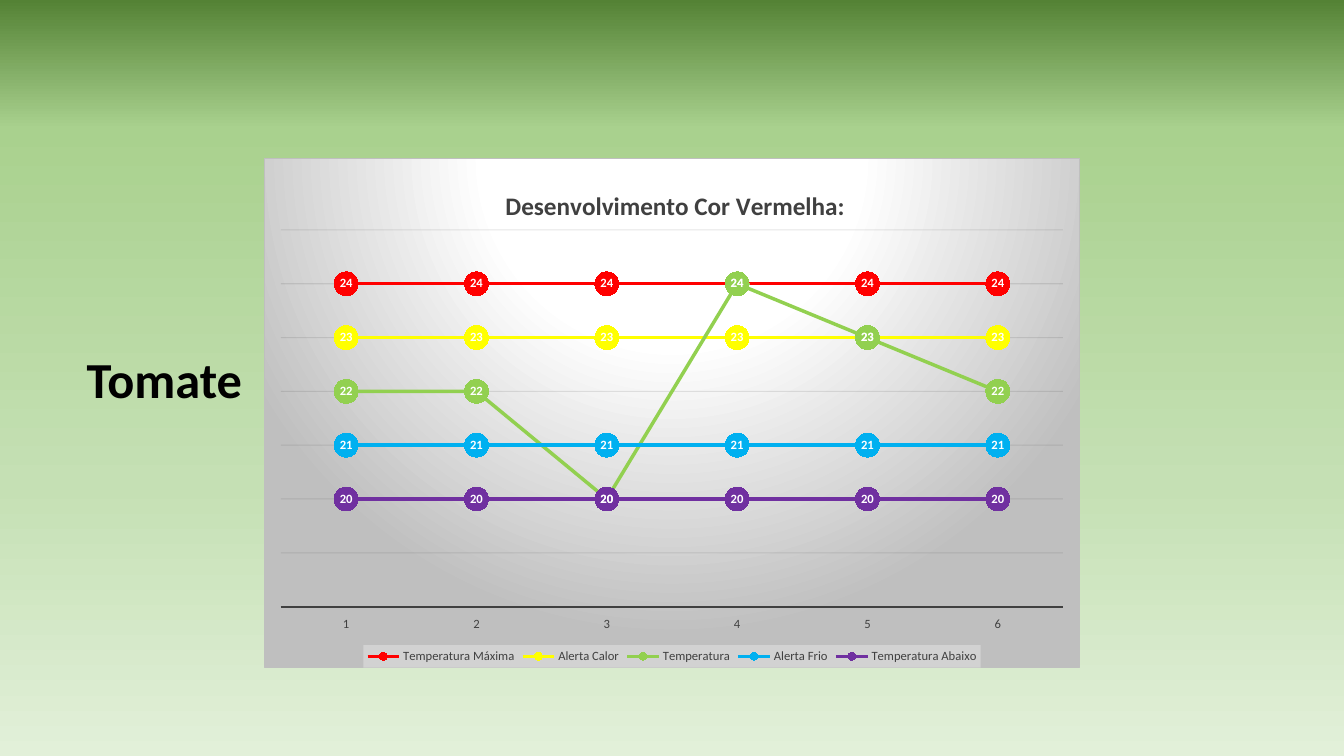
from lxml.etree import SubElement
from pptx import Presentation
from pptx.chart.data import CategoryChartData
from pptx.dml.color import RGBColor
from pptx.enum.chart import (XL_CHART_TYPE, XL_LABEL_POSITION,
                             XL_LEGEND_POSITION, XL_MARKER_STYLE,
                             XL_TICK_LABEL_POSITION, XL_TICK_MARK)
from pptx.enum.text import MSO_ANCHOR, MSO_AUTO_SIZE, PP_ALIGN
from pptx.oxml import parse_xml
from pptx.oxml.ns import nsdecls, qn
from pptx.util import Inches, Pt

HEAD = "Tomate"
TITLE = "Desenvolvimento Cor Vermelha:"
DAYS = ["1", "2", "3", "4", "5", "6"]
SERIES = [
    ("Temperatura Máxima", "red", [24] * 6),
    ("Alerta Calor", "yellow", [23] * 6),
    ("Temperatura", "green", [22, 22, 20, 24, 23, 22]),
    ("Alerta Frio", "blue", [21] * 6),
    ("Temperatura Abaixo", "purple", [20] * 6),
]
COLORS = {
    "red": "FF0000", "yellow": "FFFF00", "green": "92D050",
    "blue": "00B0F0", "purple": "7030A0", "white": "FFFFFF",
    "black": "000000", "dark": "404040", "gray": "BFBFBF",
    "grid": "0D0D0D", "pale": "F2F2F2",
}
SKY = [(0, "E2F0D9"), (36, "C5E0B4"), (83, "A9D18E"), (100, "548235")]
GLOW = [(0, COLORS["white"]), (39, COLORS["white"]), (100, COLORS["gray"])]
UP = '<a:lin ang="16200000" scaled="0"/>'
ROUND = ('<a:path path="circle"><a:fillToRect l="50000" t="-80000" '
         'r="50000" b="180000"/></a:path>')

# left, top, width, height in inches
HEAD_BOX = (0.75, 3.4, 1.76, 0.71)
CHART_BOX = (2.62, 1.57, 8.09, 5.06)
# left, top, width, height as shares of the chart
PLOT_BOX = (0.02, 0.14, 0.96, 0.74)
TITLE_POS = (0.29, 0.05)


def rgb(name):
    return RGBColor.from_string(COLORS[name])


def style(font, color, **values):
    font.color.rgb = rgb(color)
    for key, value in {"name": "Calibri", **values}.items():
        setattr(font, key, value)


def stroke(line, color, width):
    line.color.rgb = rgb(color)
    line.width = Pt(width)


def gradient(stops, shade):
    marks = "".join(f'<a:gs pos="{pos * 1000}"><a:srgbClr val="{color}"/></a:gs>'
                    for pos, color in stops)
    return (f'<a:gradFill {nsdecls("a")} rotWithShape="1">'
            f'<a:gsLst>{marks}</a:gsLst>{shade}</a:gradFill>')


def fade(fill, share):
    """Make a solid colour partly clear."""
    color = next(fill.iter(qn("a:srgbClr")))
    SubElement(color, qn("a:alpha")).set("val", str(share * 1000))


def layout(box, inner=False):
    """Return a manual chart layout for shares of the chart's size."""
    target = '<c:layoutTarget val="inner"/>' if inner else ""
    modes = '<c:xMode val="edge"/><c:yMode val="edge"/>'
    sizes = "".join(f'<c:{key} val="{value}"/>' for key, value in zip("xywh", box))
    return parse_xml(f'<c:layout {nsdecls("c")}><c:manualLayout>{target}{modes}'
                     f'{sizes}</c:manualLayout></c:layout>')


def place(part, new, index):
    for old in part.findall(qn("c:layout")):
        part.remove(old)
    part.insert(index, new)


def add_head(slide):
    head = slide.shapes.title
    head.left, head.top, head.width, head.height = map(Inches, HEAD_BOX)
    frame = head.text_frame
    frame.text = HEAD
    frame.word_wrap = False
    frame.auto_size = MSO_AUTO_SIZE.SHAPE_TO_FIT_TEXT
    frame.vertical_anchor = MSO_ANCHOR.TOP
    para = frame.paragraphs[0]
    para.alignment = PP_ALIGN.CENTER
    style(para.runs[0].font, "black", size=Pt(36), bold=True)


def add_lines(chart):
    for line, (_, color, _) in zip(chart.plots[0].series, SERIES):
        line.smooth = False
        stroke(line.format.line, color, 2.5)
        mark = line.marker
        mark.style, mark.size = XL_MARKER_STYLE.CIRCLE, 17
        mark.format.fill.solid()
        mark.format.fill.fore_color.rgb = rgb(color)
        mark.format.line.fill.background()
        tags = line.data_labels
        tags.show_value = True
        tags.position = XL_LABEL_POSITION.CENTER
        style(tags.font, "white", size=Pt(9), bold=True)


def add_axes(chart):
    days, heat = chart.category_axis, chart.value_axis
    days.major_tick_mark = days.minor_tick_mark = XL_TICK_MARK.NONE
    days.tick_label_position = XL_TICK_LABEL_POSITION.LOW
    style(days.tick_labels.font, "dark", size=Pt(9))
    stroke(days.format.line, "dark", 1.5)
    for key, value in {"minimum_scale": 18, "maximum_scale": 25, "major_unit": 1,
                       "has_major_gridlines": True, "visible": False}.items():
        setattr(heat, key, value)
    grid = heat.major_gridlines
    stroke(grid.format.line, "grid", 0.75)
    fade(heat._element.find(qn("c:majorGridlines")), 10)


def add_legend(chart):
    chart.has_legend = True
    legend = chart.legend
    legend.position = XL_LEGEND_POSITION.BOTTOM
    legend.include_in_layout = False
    style(legend.font, "dark", size=Pt(9))
    panel = parse_xml(f'<c:spPr {nsdecls("c", "a")}><a:solidFill><a:srgbClr '
                      f'val="{COLORS["pale"]}"/></a:solidFill></c:spPr>')
    fade(panel, 39)
    legend._element.find(qn("c:txPr")).addprevious(panel)


def add_chart(slide):
    data = CategoryChartData()
    data.categories = DAYS
    for name, _, values in SERIES:
        data.add_series(name, values)
    chart = slide.shapes.add_chart(XL_CHART_TYPE.LINE_MARKERS,
                                   *map(Inches, CHART_BOX), data).chart
    style(chart.font, "black", size=Pt(10))
    add_lines(chart)
    add_axes(chart)
    add_legend(chart)
    chart.has_title = True
    title = chart.chart_title
    title.text_frame.text = TITLE
    style(title.text_frame.paragraphs[0].runs[0].font, "dark",
          size=Pt(18), bold=True)
    place(title._element, layout(TITLE_POS), 1)
    space = chart._chartSpace
    place(space.chart.plotArea, layout(PLOT_BOX, inner=True), 0)
    space.find(qn("c:txPr")).addprevious(parse_xml(
        f'<c:spPr {nsdecls("c", "a")}>{gradient(GLOW, ROUND)}'
        f'<a:ln w="{Pt(0.75)}"><a:solidFill><a:srgbClr val="{COLORS["gray"]}"/>'
        '</a:solidFill></a:ln></c:spPr>'))


def main():
    deck = Presentation()
    deck.slide_width, deck.slide_height = Inches(13.33), Inches(7.5)
    slide = deck.slides.add_slide(deck.slide_layouts[5])
    slide.background.fill.solid()
    solid = next(slide._element.iter(qn("a:solidFill")))
    solid.getparent().replace(solid, parse_xml(gradient(SKY, UP)))
    add_head(slide)
    add_chart(slide)
    deck.save("out.pptx")


if __name__ == "__main__":
    main()
